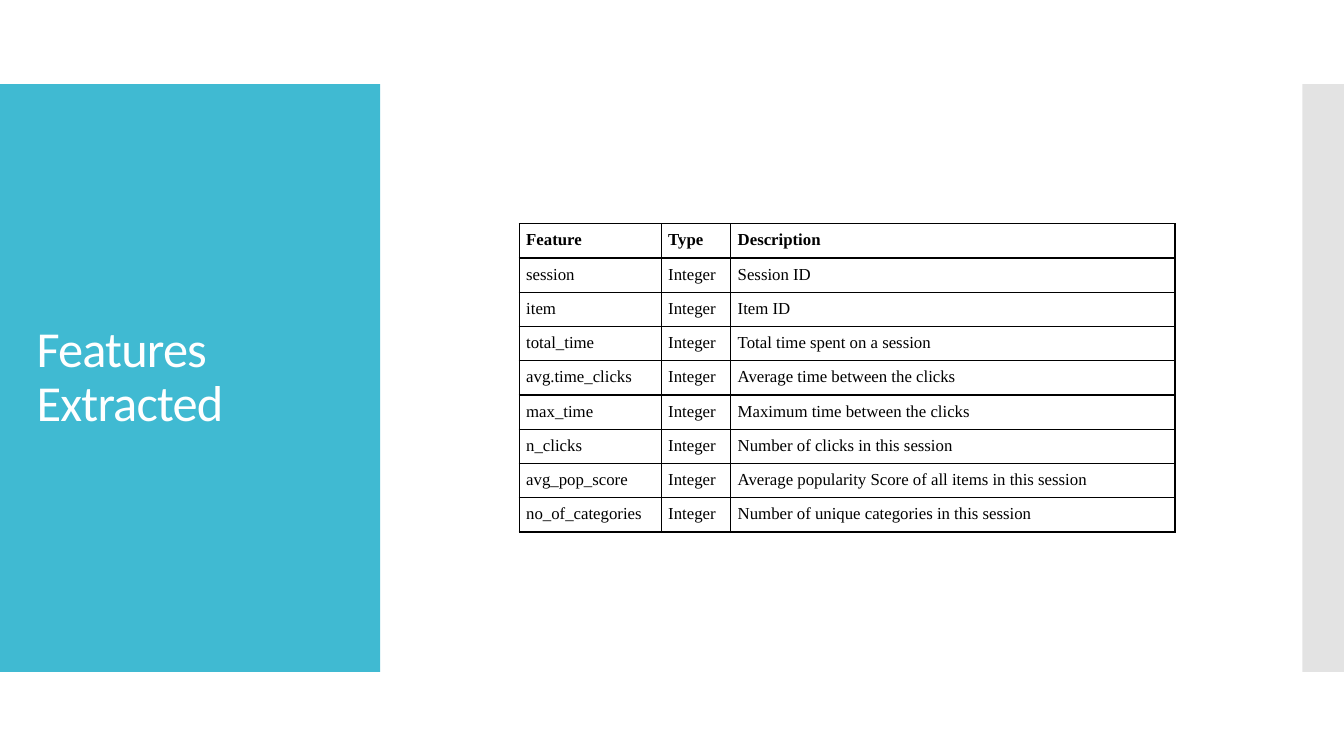
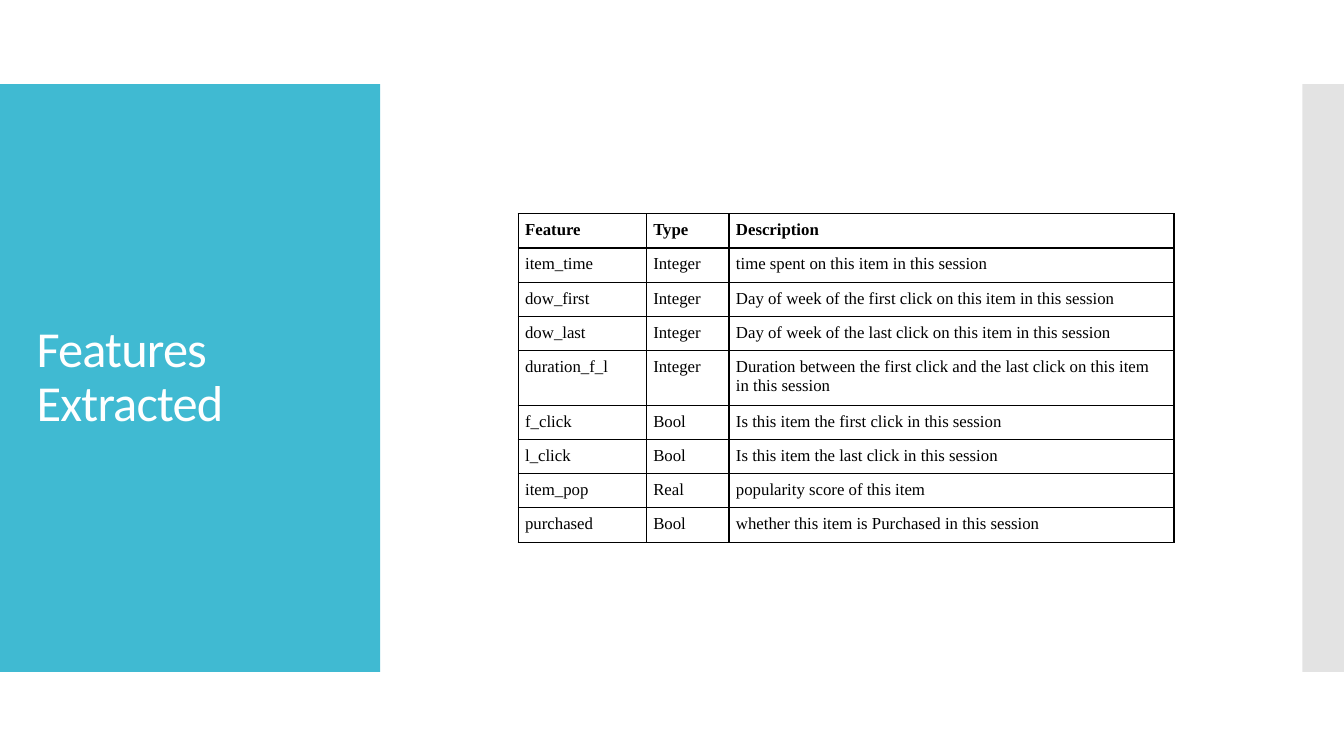
from dataclasses import dataclass

from lxml.etree import SubElement as Sub
from pptx import Presentation
from pptx.dml.color import RGBColor as Rgb
from pptx.enum.shapes import MSO_SHAPE as Shape
from pptx.enum.text import MSO_ANCHOR as Anchor
from pptx.oxml import parse_xml
from pptx.oxml.ns import nsdecls, qn
from pptx.util import Inches, Pt


@dataclass(frozen=True)
class Theme:
    """Colours, fonts and sizes that the slides share."""
    panel: Rgb = Rgb(0x40, 0xBA, 0xD2)
    strip: Rgb = Rgb(0xC8, 0xC8, 0xC8)
    white: Rgb = Rgb(0xFF, 0xFF, 0xFF)
    ink: Rgb = Rgb(0, 0, 0)
    head: str = "Calibri"
    body: str = "Times New Roman"
    big: Pt = Pt(36)
    small: Pt = Pt(12)
    rule: Pt = Pt(1)
    pad: Inches = Inches(0.07)
    row: Inches = Inches(0.32)


THEME = Theme()
WIDE, HIGH = Inches(13.33), Inches(7.5)
TOP, TALL = 100 / 9, 700 / 9
PANEL = (0, TOP, 28.28, TALL)
STRIP = (96.9, TOP, 3.1, TALL)
HEADS = ("Feature", "Type", "Description")

FIRST = (
    ("session", "Integer", "Session ID"),
    ("item", "Integer", "Item ID"),
    ("total_time", "Integer", "Total time spent on a session"),
    ("avg.time_clicks", "Integer", "Average time between the clicks"),
    ("max_time", "Integer", "Maximum time between the clicks"),
    ("n_clicks", "Integer", "Number of clicks in this session"),
    ("avg_pop_score", "Integer",
     "Average popularity Score of all items in this session"),
    ("no_of_categories", "Integer",
     "Number of unique categories in this session"),
)
SECOND = (
    ("item_time", "Integer", "time spent on this item in this session"),
    ("dow_first", "Integer",
     "Day of week of the first click on this item in this session"),
    ("dow_last", "Integer",
     "Day of week of the last click on this item in this session"),
    ("duration_f_l", "Integer",
     "Duration between the first click and the last click on this item "
     "in this session"),
    ("f_click", "Bool", "Is this item the first click in this session"),
    ("l_click", "Bool", "Is this item the last click in this session"),
    ("item_pop", "Real", "popularity score of this item"),
    ("purchased", "Bool", "whether this item is Purchased in this session"),
)


def place(box):
    """Turn a box in percent of the slide into lengths."""
    return [round(part * side / 100)
            for part, side in zip(box, (WIDE, HIGH, WIDE, HIGH))]


def style(run, font, size, color, bold=False):
    """Set the look of a run."""
    run.font.name, run.font.size, run.font.bold = font, size, bold
    run.font.color.rgb = color


def band(slide, box, color, alpha=100):
    """Draw a plain block of colour."""
    block = slide.shapes.add_shape(Shape.RECTANGLE, *place(box))
    block.shadow.inherit = False
    block.fill.solid()
    block.fill.fore_color.rgb = color
    block.line.fill.background()
    if alpha < 100:
        tint = block.fill._xPr.find(qn("a:solidFill"))[0]
        Sub(tint, qn("a:alpha"), val=str(alpha * 1000))


def title(slide, box, text):
    """Set the title inside its panel."""
    left, top, wide, tall = box
    inner = (left + wide * 0.07, top + tall * 0.07, wide * 0.86, tall * 0.86)
    frame = slide.shapes.add_textbox(*place(inner)).text_frame
    frame.word_wrap = True
    frame.vertical_anchor = Anchor.MIDDLE
    frame.text = text
    para = frame.paragraphs[0]
    para.line_spacing = 0.9
    run = para.runs[0]
    style(run, THEME.head, THEME.big, THEME.white)
    run.font._element.set("spc", "-60")


def edge(cell):
    """Rule all four sides of a cell."""
    props = cell._tc.get_or_add_tcPr()
    for spot, side in enumerate("LRTB"):
        props.insert(spot, parse_xml(
            f'<a:ln{side} {nsdecls("a")} w="{THEME.rule}"><a:solidFill>'
            f'<a:srgbClr val="{THEME.ink}"/></a:solidFill></a:ln{side}>'))


def fill(cell, text, bold):
    """Write one cell and set its look."""
    cell.text_frame.text = text
    cell.margin_left = cell.margin_right = THEME.pad
    cell.margin_top = cell.margin_bottom = THEME.pad
    cell.fill.background()
    edge(cell)
    style(cell.text_frame.paragraphs[0].runs[0],
          THEME.body, THEME.small, THEME.ink, bold)


def grid(slide, box, shares, rows):
    """Build a ruled table with columns in shares of its width."""
    left, top, wide, _ = place((*box, 0))
    lines = (HEADS, *rows)
    table = slide.shapes.add_table(len(lines), len(HEADS), left, top, wide,
                                   THEME.row * len(lines)).table
    table.first_row = table.horz_banding = False
    for col, share in zip(table.columns, shares):
        col.width = round(wide * share / sum(shares))
    for r, line in enumerate(lines):
        table.rows[r].height = THEME.row
        for c, text in enumerate(line):
            fill(table.cell(r, c), text, r == 0)


def page(deck, text, box, shares, rows):
    """Add a slide with a title panel and a table."""
    slide = deck.slides.add_slide(deck.slide_layouts[6])
    band(slide, PANEL, THEME.panel)
    band(slide, STRIP, THEME.strip, 50)
    title(slide, PANEL, text)
    grid(slide, box, shares, rows)


def main():
    """Build and save the deck."""
    deck = Presentation()
    deck.slide_width, deck.slide_height = WIDE, HIGH
    name = "Features Extracted"
    page(deck, name, (38.63, 29.6, 48.8), (1.41, 0.69, 4.41), FIRST)
    page(deck, name, (38.55, 28.27, 48.8), (1.27, 0.82, 4.41), SECOND)
    deck.save("out.pptx")


if __name__ == "__main__":
    main()
